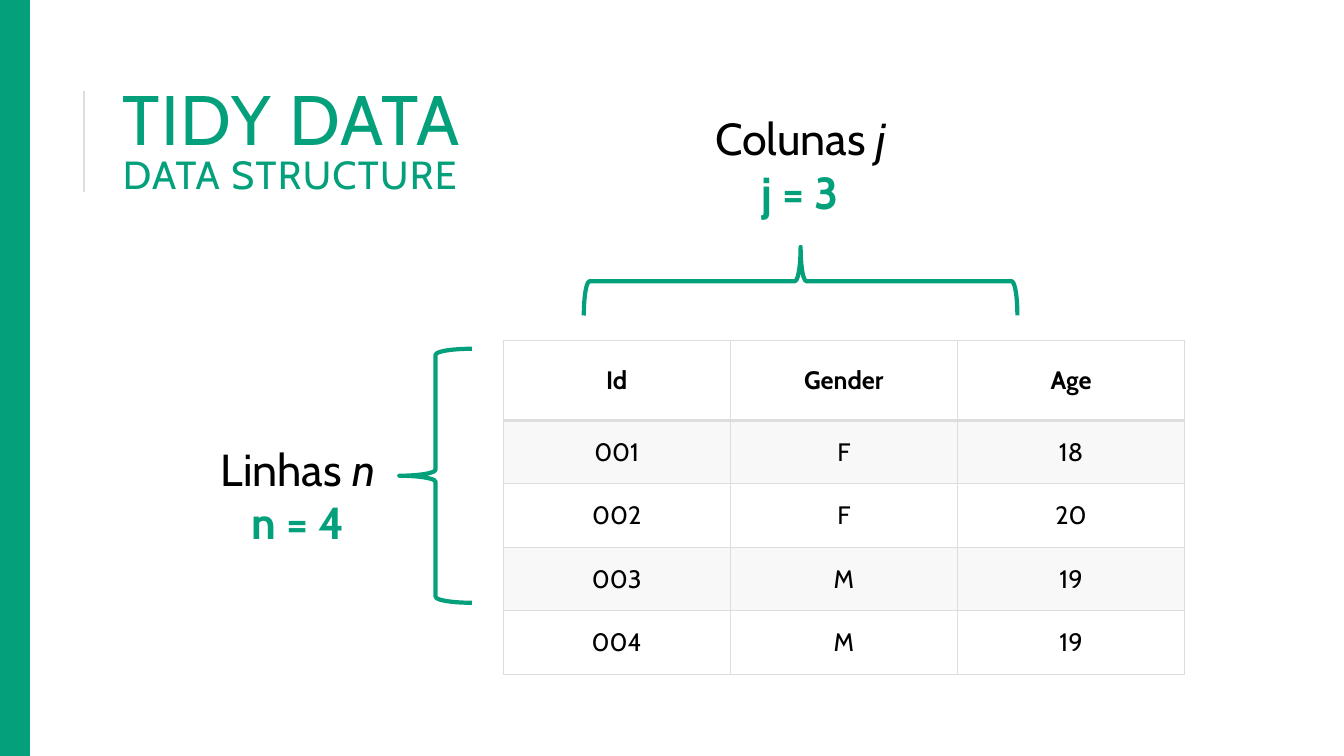
from dataclasses import dataclass

from lxml.etree import SubElement
from pptx import Presentation
from pptx.dml.color import RGBColor
from pptx.enum.shapes import MSO_CONNECTOR, MSO_SHAPE
from pptx.enum.text import MSO_ANCHOR, PP_ALIGN
from pptx.oxml.ns import qn
from pptx.slide import Slide
from pptx.table import _Cell
from pptx.text.text import _Paragraph
from pptx.util import Emu, Pt

EMU_PER_PX = 9144
GREEN = "04A07B"
GREY = "DDDDDD"
BLACK = "000000"
FONT = "Cabin"


@dataclass(frozen=True)
class Frame:
    left: int
    top: int
    width: int
    height: int


@dataclass(frozen=True)
class DimensionLabel:
    frame: Frame
    name: str
    symbol: str
    count: str


@dataclass(frozen=True)
class Brace:
    frame: Frame
    rotation: int


LABELS = [
    DimensionLabel(Frame(180, 433, 231, 118), "Linhas ", "n", "n = 4"),
    DimensionLabel(Frame(621, 105, 346, 118), "Colunas ", "j", "j = 3"),
]
BRACES = [
    Brace(Frame(396, 346, 72, 252), 0),
    Brace(Frame(760, 64, 68, 430), 90),
]
TABLE_FRAME = Frame(499, 338, 676, 331)
ROW_HEIGHTS = [79, 63, 63, 63, 63]
RECORDS = [
    ("Id", "Gender", "Age"),
    ("001", "F", "18"),
    ("002", "F", "20"),
    ("003", "M", "19"),
    ("004", "M", "19"),
]


def px(length: int) -> Emu:
    return Emu(length * EMU_PER_PX)


def place(frame: Frame) -> tuple[Emu, Emu, Emu, Emu]:
    return px(frame.left), px(frame.top), px(frame.width), px(frame.height)


def color(value: str) -> RGBColor:
    return RGBColor.from_string(value)


def add_span(para: _Paragraph, text: str, size: int, tint: str = BLACK,
             bold: bool = False, italic: bool = False, spacing: int = 0) -> None:
    span = para.add_run()
    span.text = text
    span.font.name = FONT
    span.font.size = Pt(size)
    span.font.bold = bold
    span.font.italic = italic
    span.font.color.rgb = color(tint)
    if spacing:
        span._r.get_or_add_rPr().set("spc", str(spacing * 100))


def add_title(page: Slide) -> None:
    rule = page.shapes.add_connector(
        MSO_CONNECTOR.STRAIGHT, px(83), px(190), px(83), px(90))
    rule.line.color.rgb = color(GREY)
    rule.line.width = Pt(1.5)
    SubElement(rule._element.spPr, qn("a:effectLst"))
    box = page.shapes.add_textbox(*place(Frame(112, 61, 1063, 164)))
    box.text_frame.word_wrap = True
    box.text_frame.vertical_anchor = MSO_ANCHOR.MIDDLE
    para = box.text_frame.paragraphs[0]
    para.line_spacing = 0.8
    add_span(para, "TIDY DATA", 50, GREEN, spacing=1)
    para.add_line_break()
    add_span(para, "DATA STRUCTURE", 28, GREEN, spacing=1)


def add_side_bar(page: Slide) -> None:
    bar = page.shapes.add_shape(MSO_SHAPE.RECTANGLE, *place(Frame(0, 0, 29, 750)))
    bar.shadow.inherit = False
    bar.fill.solid()
    bar.fill.fore_color.rgb = color(GREEN)
    bar.line.color.rgb = color(GREEN)
    bar.line.width = Pt(1.25)


def add_border(cell: _Cell, side: str, width: int) -> None:
    border = SubElement(cell._tc.get_or_add_tcPr(), qn(f"a:ln{side}"), w=str(Pt(width)))
    fill = SubElement(border, qn("a:solidFill"))
    SubElement(fill, qn("a:srgbClr"), val=GREY)


def fill_cell(cell: _Cell, text: str, row: int) -> None:
    cell.vertical_anchor = MSO_ANCHOR.MIDDLE
    para = cell.text_frame.paragraphs[0]
    para.alignment = PP_ALIGN.CENTER
    add_span(para, text, 18, bold=row == 0)
    add_border(cell, "L", 1)
    add_border(cell, "R", 1)
    add_border(cell, "T", 2 if row == 1 else 1)
    add_border(cell, "B", 2 if row == 0 else 1)
    if row % 2:
        cell.fill.solid()
        cell.fill.fore_color.rgb = color(GREY)
        tint = cell._tc.tcPr.find(f"{qn('a:solidFill')}/{qn('a:srgbClr')}")
        SubElement(tint, qn("a:alpha"), val="20000")
    else:
        cell.fill.background()


def add_data_table(page: Slide) -> None:
    table = page.shapes.add_table(
        len(RECORDS), len(RECORDS[0]), *place(TABLE_FRAME)).table
    table.first_row = False
    table.horz_banding = False
    for row, (height, record) in enumerate(zip(ROW_HEIGHTS, RECORDS)):
        table.rows[row].height = px(height)
        for column, text in enumerate(record):
            fill_cell(table.cell(row, column), text, row)


def add_label(page: Slide, label: DimensionLabel) -> None:
    box = page.shapes.add_textbox(*place(label.frame))
    box.text_frame.word_wrap = True
    para = box.text_frame.paragraphs[0]
    para.alignment = PP_ALIGN.CENTER
    add_span(para, label.name, 32)
    add_span(para, label.symbol, 32, italic=True)
    para = box.text_frame.add_paragraph()
    para.alignment = PP_ALIGN.CENTER
    add_span(para, label.count, 32, GREEN, bold=True)


def add_brace(page: Slide, brace: Brace) -> None:
    shape = page.shapes.add_shape(MSO_SHAPE.LEFT_BRACE, *place(brace.frame))
    shape.rotation = brace.rotation
    shape.shadow.inherit = False
    shape.fill.background()
    shape.line.color.rgb = color(GREEN)
    shape.line.width = Pt(3)


def main() -> None:
    deck = Presentation()
    deck.slide_width = px(1333)
    deck.slide_height = px(750)
    page = deck.slides.add_slide(deck.slide_layouts[6])
    add_title(page)
    add_side_bar(page)
    add_data_table(page)
    for label in LABELS:
        add_label(page, label)
    for brace in BRACES:
        add_brace(page, brace)
    deck.save("out.pptx")


if __name__ == "__main__":
    main()
